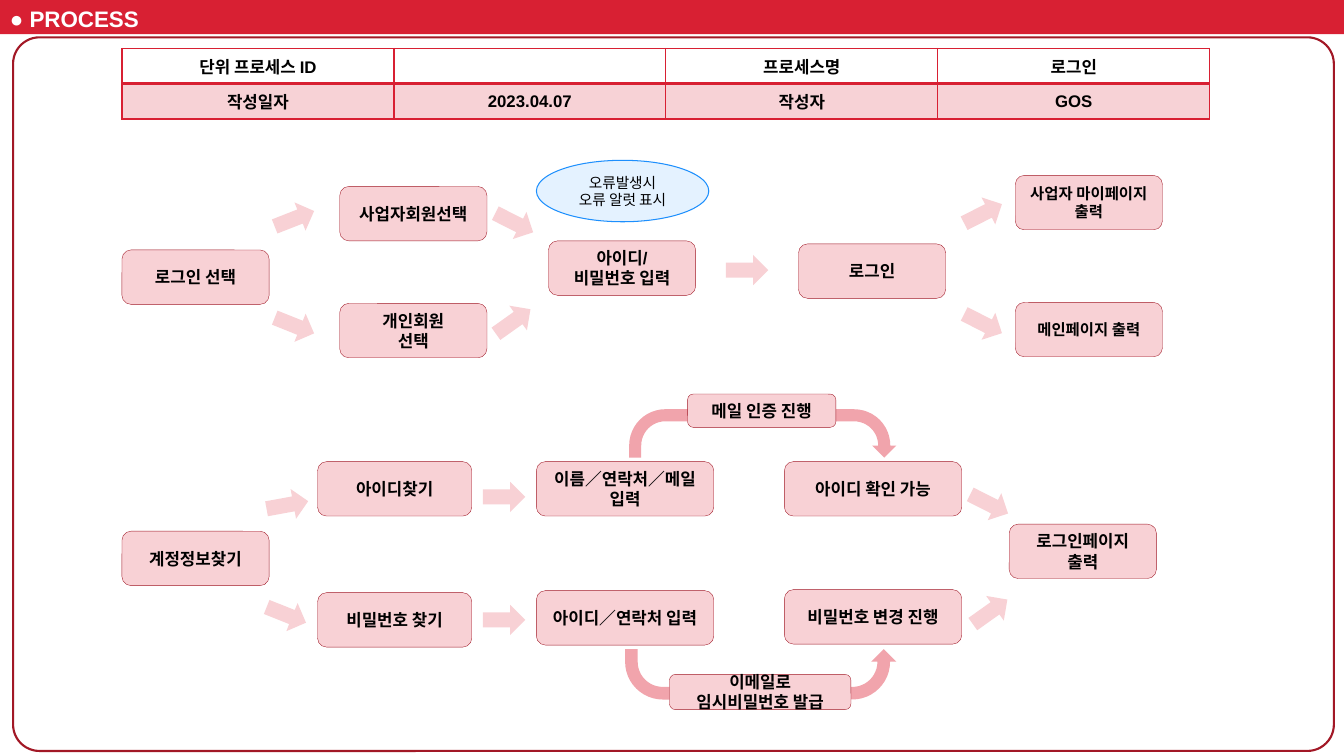
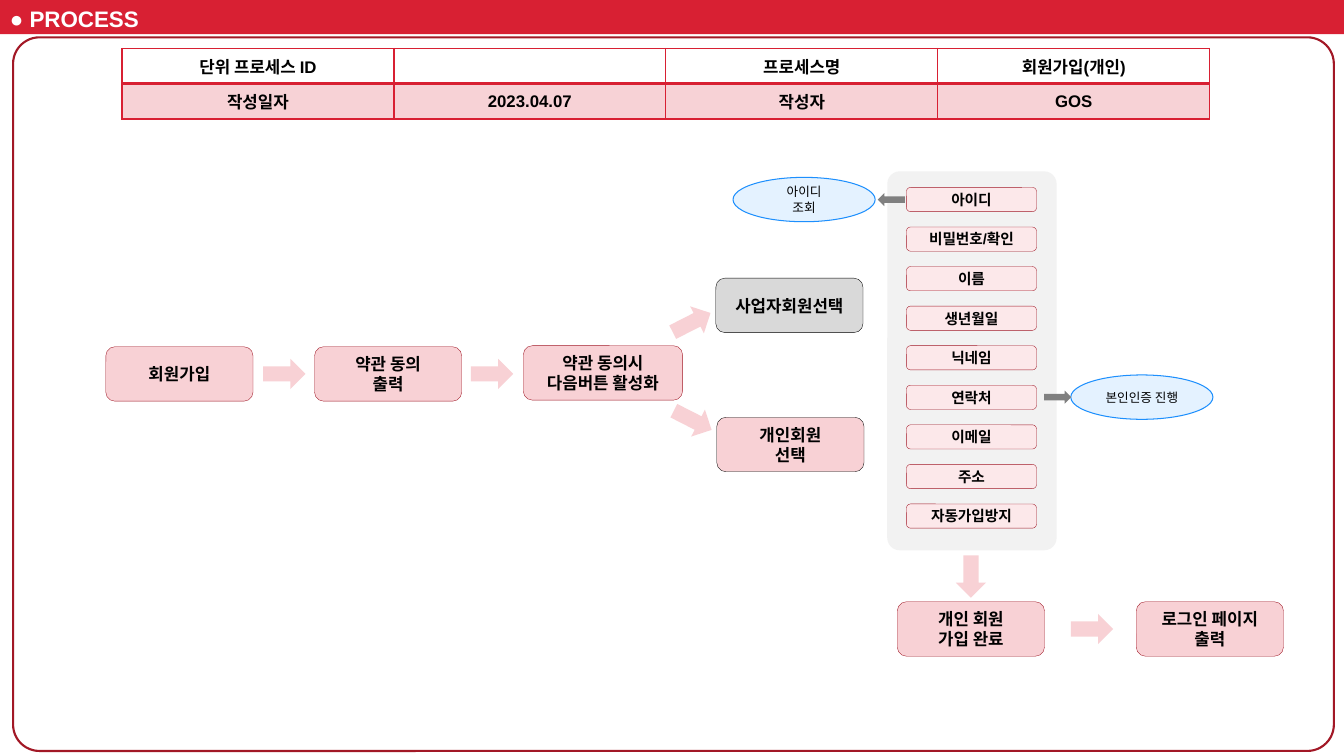
from dataclasses import dataclass

from lxml import etree
from pptx import Presentation
from pptx.dml.color import RGBColor
from pptx.enum.shapes import MSO_SHAPE
from pptx.enum.text import MSO_ANCHOR, PP_ALIGN
from pptx.oxml.ns import qn
from pptx.util import Emu, Inches, Pt

RECTANGLE = MSO_SHAPE.RECTANGLE
ROUNDED = MSO_SHAPE.ROUNDED_RECTANGLE
OVAL = MSO_SHAPE.OVAL
RIGHT_ARROW = MSO_SHAPE.RIGHT_ARROW
U_TURN = MSO_SHAPE.U_TURN_ARROW
MIDDLE = MSO_ANCHOR.MIDDLE
CENTER = PP_ALIGN.CENTER


@dataclass(frozen=True)
class Theme:
    font: str = "Arial"
    red: str = "D82033"
    frame: str = "A21826"
    outline: str = "A01826"
    pink: str = "F8D1D5"
    rose: str = "F1A4AC"
    pale: str = "FCE8EA"
    row: str = "F7D2D6"
    panel: str = "F2F2F2"
    disabled: str = "D9D9D9"
    grey: str = "808080"
    sky: str = "E4F2FF"
    blue: str = "1D8FFD"
    black: str = "000000"
    near_black: str = "0D0D0D"
    white: str = "FFFFFF"
    title_size: float = 16
    body_size: float = 12
    compact_size: float = 11
    small_size: float = 10.5
    note_size: float = 9


THEME = Theme()
STEP_WIDTH = 1.46
STEP_HEIGHT = 0.54


class ProcessDeck:
    def __init__(self, theme):
        self.theme = theme
        self.presentation = Presentation()
        self.presentation.slide_width = Inches(13.33)
        self.presentation.slide_height = Inches(7.5)
        self.slide = None

    def new_slide(self, process_name):
        theme = self.theme
        self.slide = self.presentation.slides.add_slide(self.presentation.slide_layouts[6])
        self.shape(RECTANGLE, 0, 0, 13.33, 0.34, theme.red)
        title = self.slide.shapes.add_textbox(0, 0, Inches(1.49), Inches(0.37))
        title.text_frame.word_wrap = False
        self.set_text(title.text_frame, "● PROCESS", theme.title_size, theme.white, align=None)
        frame = self.shape(ROUNDED, 0.13, 0.37, 13.1, 7.08, None, theme.frame, 1.5)
        frame.adjustments[0] = 0.037
        self.info_table([
            ["단위 프로세스 ID", "", "프로세스명", process_name],
            ["작성일자", "2023.04.07", "작성자", "GOS"],
        ])

    def set_text(self, text_frame, text, size, color=None, bold=True, align=CENTER):
        text_frame.text = text
        for paragraph in text_frame.paragraphs:
            paragraph.alignment = align
            paragraph.font.name = self.theme.font
            paragraph.font.size = Pt(size)
            paragraph.font.bold = bold
            paragraph.font.color.rgb = RGBColor.from_string(color or self.theme.black)

    def shape(self, kind, left, top, width, height, fill, line=None, line_width=0.25):
        shape = self.slide.shapes.add_shape(
            kind, Inches(left), Inches(top), Inches(width), Inches(height))
        shape.shadow.inherit = False
        if fill:
            shape.fill.solid()
            shape.fill.fore_color.rgb = RGBColor.from_string(fill)
        else:
            shape.fill.background()
        if line:
            shape.line.color.rgb = RGBColor.from_string(line)
            shape.line.width = Pt(line_width)
        else:
            shape.line.fill.background()
        return shape

    def step(self, text, left, top, width=STEP_WIDTH, height=STEP_HEIGHT,
             size=None, fill=None, line=None):
        theme = self.theme
        box = self.shape(ROUNDED, left, top, width, height,
                         fill or theme.pink, line or theme.outline)
        box.text_frame.vertical_anchor = MIDDLE
        self.set_text(box.text_frame, text, size or theme.body_size)

    def note(self, text, left, top, width, height, size):
        oval = self.shape(OVAL, left, top, width, height, self.theme.sky, self.theme.blue, 0.75)
        oval.text_frame.vertical_anchor = MIDDLE
        self.set_text(oval.text_frame, text, size, bold=False)

    def arrow(self, center_x, center_y, angle=0, width=0.42, height=0.3, fill=None):
        arrow = self.shape(RIGHT_ARROW, center_x - width / 2, center_y - height / 2,
                           width, height, fill or self.theme.pink)
        arrow.rotation = angle

    def u_turn(self, left, top, width, height, upward=False):
        turn = self.shape(U_TURN, left, top, width, height, self.theme.rose)
        for index, value in enumerate((0.25, 0.25, 0.25, 0.748, 1)):
            turn.adjustments[index] = value
        if upward:
            turn.element.spPr.find(qn("a:xfrm")).set("flipV", "1")

    def border(self, cell, widths):
        properties = cell._tc.get_or_add_tcPr()
        for index, (edge, width) in enumerate(zip(("lnL", "lnR", "lnT", "lnB"), widths)):
            line = etree.Element(qn(f"a:{edge}"), w=str(Pt(width)))
            fill = etree.SubElement(line, qn("a:solidFill"))
            etree.SubElement(fill, qn("a:srgbClr"), val=self.theme.red)
            properties.insert(index, line)

    def info_table(self, rows):
        table = self.slide.shapes.add_table(
            2, 4, Inches(1.21), Inches(0.48), Inches(10.79), Inches(0.7)).table
        table.first_row = False
        table.horz_banding = False
        for column in table.columns:
            column.width = Emu(Inches(10.79) // 4)
        for row_index, row in enumerate(rows):
            table.rows[row_index].height = Inches(0.35)
            for column_index, text in enumerate(row):
                cell = table.cell(row_index, column_index)
                cell.vertical_anchor = MIDDLE
                self.set_text(cell.text_frame, text, self.theme.body_size)
                if row_index:
                    cell.fill.solid()
                    cell.fill.fore_color.rgb = RGBColor.from_string(self.theme.row)
                    self.border(cell, (1, 1, 2, 1))
                else:
                    cell.fill.background()
                    self.border(cell, (1, 1, 1, 2))


def login_slide(deck):
    theme = deck.theme
    deck.new_slide("로그인")
    for text, left, top in (
        ("로그인 선택", 1.21, 2.48),
        ("사업자회원선택", 3.37, 1.85),
        ("개인회원\n선택", 3.37, 3.01),
        ("아이디/\n비밀번호 입력", 5.44, 2.39),
        ("로그인", 7.92, 2.42),
        ("계정정보찾기", 1.21, 5.27),
        ("로그인페이지\n출력", 10.01, 5.2),
    ):
        deck.step(text, left, top)
    for text, top in (("사업자 마이페이지 출력", 1.74), ("메인페이지 출력", 3)):
        deck.step(text, 10.07, top, size=theme.compact_size)
    deck.note("오류발생시\n오류 알럿 표시", 5.32, 1.59, 1.71, 0.61, theme.small_size)

    for text, left, top, width in (
        ("아이디찾기", 3.15, 4.58, 1.53),
        ("이름／연락처／메일 입력", 5.32, 4.58, 1.76),
        ("아이디 확인 가능", 7.78, 4.58, 1.76),
        ("비밀번호 찾기", 3.15, 5.88, 1.53),
        ("아이디／연락처 입력", 5.32, 5.86, 1.76),
        ("비밀번호 변경 진행", 7.78, 5.85, 1.76),
    ):
        deck.step(text, left, top, width)

    deck.u_turn(6.24, 4.06, 2.65, 0.48)
    deck.step("메일 인증 진행", 6.82, 3.91, 1.47, 0.33)
    deck.u_turn(6.2, 6.44, 2.69, 0.5, upward=True)
    deck.step("이메일로 임시비밀번호 발급", 6.64, 6.69, 1.8, 0.35)

    for center_x, center_y, angle in (
        (2.92, 2.17, -21.4), (2.92, 3.23, 21.8),
        (5.1, 2.21, 26.8), (5.09, 3.19, -35.5),
        (7.41, 2.68, 0),
        (9.75, 2.12, -27), (9.75, 3.21, 27),
        (2.85, 5.01, -10.4), (2.84, 6.1, 21.8),
        (5, 4.93, 0), (5, 6.15, 0),
        (9.81, 5, 26.8), (9.82, 6.07, -35.5),
    ):
        deck.arrow(center_x, center_y, angle)


def signup_slide(deck):
    theme = deck.theme
    deck.new_slide("회원가입(개인)")
    for text, left, top in (
        ("회원가입", 1.05, 3.44),
        ("약관 동의\n출력", 3.12, 3.44),
        ("개인 회원\n가입 완료", 8.9, 5.97),
        ("로그인 페이지\n출력", 11.27, 5.97),
    ):
        deck.step(text, left, top)
    deck.step("약관 동의시\n다음버튼 활성화", 5.19, 3.43, 1.58)
    deck.step("개인회원\n선택", 7.11, 4.14, line=theme.near_black)
    deck.step("사업자회원선택", 7.1, 2.76, fill=theme.disabled, line=theme.black)

    for center_x, center_y, angle in (
        (2.82, 3.71, 0), (4.88, 3.71, 0),
        (6.86, 3.2, -27), (6.87, 4.17, 27),
        (9.63, 5.72, 90), (10.83, 6.24, 0),
    ):
        deck.arrow(center_x, center_y, angle)

    panel = deck.shape(ROUNDED, 8.8, 1.7, 1.68, 3.76, theme.panel)
    panel.adjustments[0] = 0.074
    fields = ("아이디", "비밀번호/확인", "이름", "생년월일", "닉네임",
              "연락처", "이메일", "주소", "자동가입방지")
    first_top, last_top = 1.86, 5
    pitch = (last_top - first_top) / (len(fields) - 1)
    for index, field in enumerate(fields):
        deck.step(field, 8.99, first_top + index * pitch, 1.29, 0.24,
                  theme.small_size, theme.pale)

    for text, left, top, arrow_x, angle in (
        ("아이디\n조회", 7.27, 1.76, 8.84, 180),
        ("본인인증 진행", 10.62, 3.72, 10.49, 0),
    ):
        deck.note(text, left, top, 1.41, 0.44, theme.note_size)
        deck.arrow(arrow_x, top + 0.22, angle, 0.27, 0.13, theme.grey)


def main():
    deck = ProcessDeck(THEME)
    login_slide(deck)
    signup_slide(deck)
    deck.presentation.save("out.pptx")


if __name__ == "__main__":
    main()
